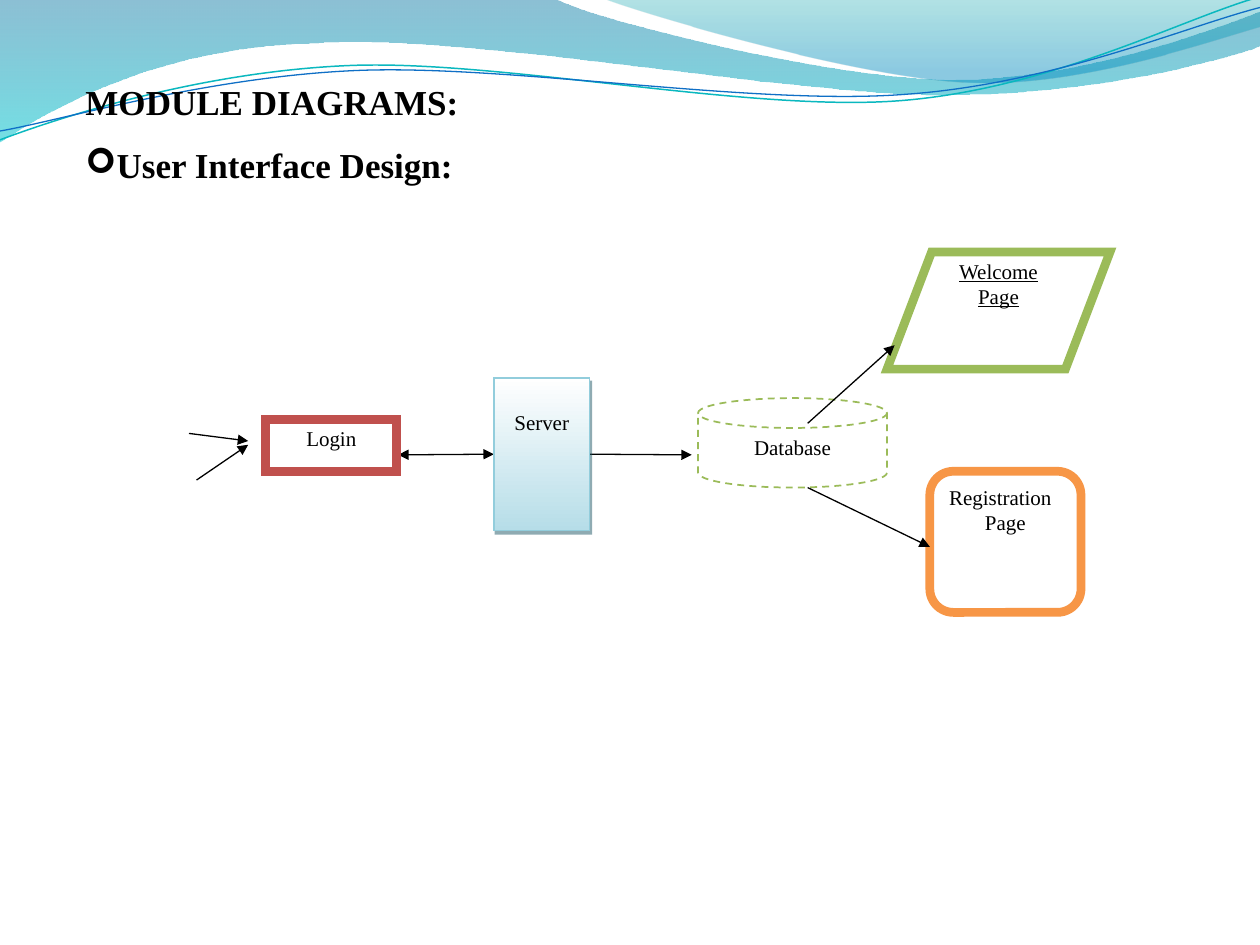
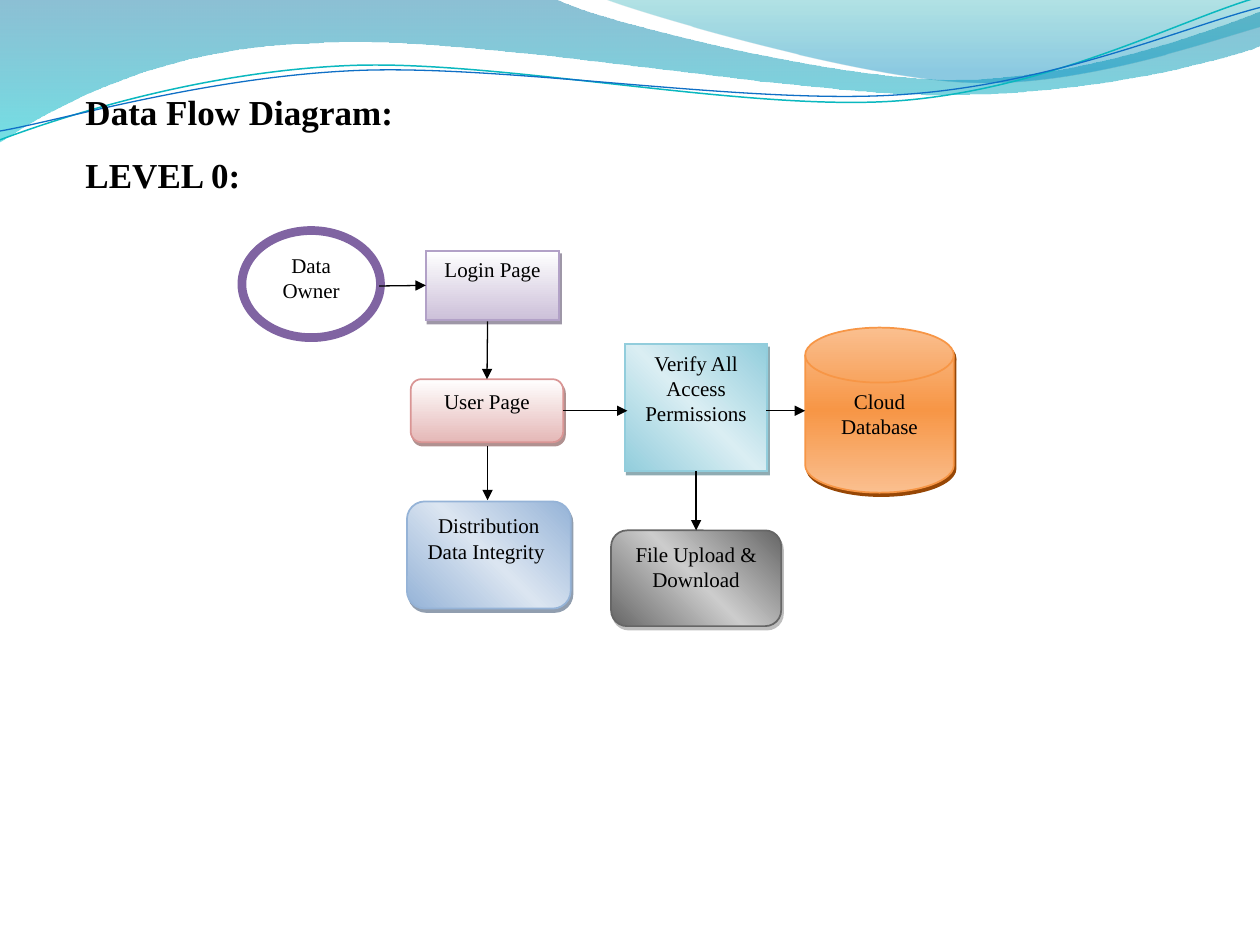
import math

import lxml.etree
import pptx
import pptx.dml.color
import pptx.enum.dml
import pptx.enum.shapes
import pptx.enum.text
import pptx.oxml.ns
import pptx.util

SHAPE = pptx.enum.shapes.MSO_SHAPE
ALIGN = pptx.enum.text.PP_ALIGN
ANCHOR = pptx.enum.text.MSO_ANCHOR
FONT = "Times New Roman"
COLUMNS, ROWS = 10, 7.5  # the grid that all places are given in
TOP, LEFT, BOTTOM, RIGHT = range(4)
WAVE_TURN = 357.3  # degrees that the wave lines are turned by

COLORS = {
    "black": "000000", "white": "FFFFFF",
    "wave blue": "0074A1", "wave cyan": "00C6CF",
    "crest teal": "00A1A9", "crest blue": "008BBF",
    "teal line": "0AB8BF", "blue line": "0F6FC6",
    "green": "9BBB59", "red": "C0504D", "purple": "8064A2",
    "orange": "F79646", "pale orange": "FABF8F", "brown": "974706",
    "aqua": "92CDDC", "soft aqua": "B6DDE8", "pale aqua": "DAEEF3", "deep aqua": "205867",
    "lilac": "B2A1C7", "pale lilac": "CCC0D9", "deep purple": "3F3151",
    "rose": "D99594", "pale rose": "E5B8B7", "deep red": "622423",
    "blue": "95B3D7", "pale blue": "DBE5F1", "deep blue": "243F60",
    "gray": "666666", "pale gray": "CCCCCC", "mid gray": "7F7F7F",
}

# Waves: start point, then line ends (x, y) and curves (x1, y1, x2, y2, x, y)
WAVES = [
    {"start": (0, 0),
     "steps": [(4.4, -0.01), (4.76, 0.17, 6.64, 0.63, 7.58, 0.63),
               (8.53, 0.63, 9.58, 0.26, 10, 0.09), (10.01, 0.36),
               (9.83, 0.44, 8.7, 0.76, 7.46, 0.75), (6.22, 0.75, 3.82, 0.28, 2.57, 0.34),
               (1.29, 0.36, 0.46, 0.83, -0.01, 1.13), (0, 0)],
     "fill": [(0, "wave blue", 45), (100, "wave cyan", 55)]},
    {"start": (4.79, -0.01),
     "steps": [(5.09, 0.11, 6.82, 0.62, 7.69, 0.65), (8.56, 0.69, 9.61, 0.32, 10, 0.21),
               (10, 0), (4.79, -0.01)],
     "fill": [(0, "crest teal", 30), (80, "crest blue", 45)]},
    {"start": (0, 1.11), "center": (4.99, 0.58),
     "steps": [(0.48, 0.93, 1.58, 0.57, 2.77, 0.52), (3.95, 0.47, 5.93, 0.89, 7.13, 0.8),
               (8.33, 0.71, 9.38, 0.15, 9.98, -0.02)],
     "line": ("teal line", 0.85)},
    {"start": (0, 1.04), "center": (5, 0.59),
     "steps": [(0.47, 0.96, 1.64, 0.61, 2.83, 0.56), (4.03, 0.51, 5.97, 0.84, 7.17, 0.75),
               (8.36, 0.67, 9.41, 0.21, 10, 0.06)],
     "line": ("blue line", 0.75)},
]


def outlined(color):
    return {"line": (color, 5)}


def shaded(line, stops, shadow, angle=90, opacity=50):
    """Style with evenly spaced gradient stops, a thin line and a hard shadow."""
    last = len(stops) - 1
    fill = [(100 * i // last, color, 100) for i, color in enumerate(stops)]
    return {"line": (line, 1), "fill": fill, "angle": angle, "shadow": (shadow, opacity)}


def glossy(edge, middle, shadow):
    return shaded(edge, [edge, middle, edge], shadow, angle=315)


# Nodes: name, preset, (left, top, width, height), style, paragraphs
# Links: start, end, arrow at both ends; an end is a point or (node, side)
# Front: nodes that lie above the links
SLIDES = [
    {"title": ["MODULE DIAGRAMS:", "User Interface Design:"],
     "title_box": (0.58, 0.42, 8.17, 1.11), "bullets": {1: "➢"},
     "nodes": [
         ("database", SHAPE.FLOWCHART_MAGNETIC_DISK, (5.54, 3.16, 1.5, 0.71),
          {"line": ("green", 1), "dash": True}, ["Database"]),
         ("welcome", SHAPE.FLOWCHART_DATA, (7.04, 2, 1.77, 0.93),
          {**outlined("green"), "underline": True}, ["Welcome Page"]),
         ("registration", SHAPE.FLOWCHART_ALTERNATE_PROCESS, (7.38, 3.74, 1.2, 1.12),
          {**outlined("orange"), "first_align": ALIGN.LEFT}, ["Registration", "Page"]),
         ("login", SHAPE.RECTANGLE, (2.11, 3.33, 1.04, 0.41), outlined("red"), ["Login"]),
         ("server", SHAPE.RECTANGLE, (3.92, 3, 0.76, 1.21),
          {**shaded("aqua", ["white", "soft aqua"], "deep aqua"), "inset_top": 0.25},
          ["Server"])],
     "links": [
         (("server", RIGHT), (5.49, 3.61), False),
         ((1.5, 3.44), (1.97, 3.5), False),
         ((1.56, 3.81), (1.97, 3.53), False),
         ((6.41, 3.36), (7.1, 2.74), False),
         ((6.41, 3.87), (7.38, 4.34), False),
         ((3.16, 3.61), ("server", LEFT), True)],
     "front": ["login", "server"]},
    {"title": ["Data Flow Diagram:", "LEVEL 0:"],
     "title_box": (0.58, 0.5, 8.25, 1.11), "bullets": {},
     "nodes": [
         ("owner", SHAPE.OVAL, (1.92, 1.83, 1.1, 0.85), outlined("purple"), ["Data Owner"]),
         ("login", SHAPE.RECTANGLE, (3.38, 1.99, 1.06, 0.55),
          shaded("lilac", ["white", "pale lilac"], "deep purple"), ["Login Page"]),
         ("user", SHAPE.ROUNDED_RECTANGLE, (3.26, 3.01, 1.21, 0.5),
          shaded("rose", ["white", "pale rose"], "deep red"), ["User Page"]),
         ("integrity", SHAPE.ROUNDED_RECTANGLE, (3.23, 3.98, 1.3, 0.85),
          glossy("blue", "pale blue", "deep blue"), ["Distribution Data Integrity "]),
         ("verify", SHAPE.RECTANGLE, (4.96, 2.73, 1.13, 1.01),
          glossy("aqua", "pale aqua", "deep aqua"), ["Verify All Access Permissions"]),
         ("files", SHAPE.ROUNDED_RECTANGLE, (4.85, 4.21, 1.35, 0.76),
          glossy("gray", "pale gray", "mid gray"), ["File Upload & Download"]),
         ("cloud", SHAPE.FLOWCHART_MAGNETIC_DISK, (6.39, 2.6, 1.18, 1.31),
          shaded("orange", ["pale orange", "orange", "pale orange"], "brown", opacity=100),
          ["Cloud Database"])],
     "links": [
         ((3.01, 2.27), ("login", LEFT), False),
         ((3.87, 3.54), (3.87, 3.97), False),
         ((3.87, 2.55), ("user", TOP), False),
         (("user", RIGHT), (4.98, 3.26), False),
         (("verify", BOTTOM), ("files", TOP), False),
         ((6.08, 3.26), (6.39, 3.26), False)],
     "front": []},
]

prs = pptx.Presentation()
prs.slide_width = pptx.util.Inches(10)
prs.slide_height = pptx.util.Inches(7.5)


def x_at(columns):
    return round(prs.slide_width * columns / COLUMNS)


def y_at(rows):
    return round(prs.slide_height * rows / ROWS)


def place(box):
    left, top, width, height = box
    return x_at(left), y_at(top), x_at(width), y_at(height)


def rgb(name):
    return pptx.dml.color.RGBColor.from_string(COLORS[name])


def add_xml(parent, tag, **attributes):
    child = lxml.etree.SubElement(parent, pptx.oxml.ns.qn("a:" + tag))
    for key, value in attributes.items():
        child.set(key, str(value))
    return child


def add_color(parent, name, opacity):
    color = add_xml(parent, "srgbClr", val=COLORS[name])
    if opacity < 100:
        add_xml(color, "alpha", val=opacity * 1000)


def set_gradient(sp, stops, angle):
    sp.fill.gradient()
    grad = sp._element.spPr.find(pptx.oxml.ns.qn("a:gradFill"))
    for child in list(grad):
        grad.remove(child)
    stop_list = add_xml(grad, "gsLst")
    for position, color, opacity in stops:
        add_color(add_xml(stop_list, "gs", pos=position * 1000), color, opacity)
    add_xml(grad, "lin", ang=angle * 60000, scaled=0)


def set_line(line, color, width):
    line.color.rgb = rgb(color)
    line.width = pptx.util.Pt(width)


def set_shadow(sp, color, opacity):
    effects = sp._element.spPr.find(pptx.oxml.ns.qn("a:effectLst"))
    outer = add_xml(effects, "outerShdw", blurRad=0, dist=pptx.util.Pt(2.2),
                    dir=63 * 60000, algn="ctr", rotWithShape=0)
    add_color(outer, color, opacity)


def add_run(p, text, size, bold=False, underline=False):
    r = p.add_run()
    r.text = text
    r.font.name, r.font.size = FONT, pptx.util.Pt(size)
    r.font.bold, r.font.underline = bold, underline
    r.font.color.rgb = rgb("black")


def paragraphs(tf, texts):
    """Yield a paragraph of the frame for each text."""
    for i, text in enumerate(texts):
        yield i, tf.add_paragraph() if i else tf.paragraphs[0], text


def turn_back(point, center):
    """Undo the turn of the wave lines for one point."""
    angle = math.radians(360 - WAVE_TURN)
    dx, dy = point[0] - center[0], point[1] - center[1]
    return (center[0] + dx * math.cos(angle) - dy * math.sin(angle),
            center[1] + dx * math.sin(angle) + dy * math.cos(angle))


def bend(sp, steps):
    """Join the three segments that stand for each curve into one Bezier curve."""
    segments = iter(list(sp._element.iter(pptx.oxml.ns.qn("a:lnTo"))))
    for step in steps:
        parts = [next(segments) for _ in step[::2]]
        if len(parts) == 3:
            curve = lxml.etree.Element(pptx.oxml.ns.qn("a:cubicBezTo"))
            parts[0].addprevious(curve)
            for part in parts:
                curve.append(part[0])
                part.getparent().remove(part)


def add_wave(slide, wave):
    points = [wave["start"]]
    for step in wave["steps"]:
        points += zip(step[::2], step[1::2])
    if "center" in wave:
        points = [turn_back(point, wave["center"]) for point in points]
    points = [(x_at(x), y_at(y)) for x, y in points]
    builder = slide.shapes.build_freeform(*points[0], scale=1.0)
    builder.add_line_segments(points[1:], close="fill" in wave)
    sp = builder.convert_to_shape()
    bend(sp, wave["steps"])
    sp.shadow.inherit = False
    if "fill" in wave:
        set_gradient(sp, wave["fill"], 90)
        sp.line.fill.background()
    else:
        sp.rotation = WAVE_TURN
        sp.fill.background()
        set_line(sp.line, *wave["line"])


def add_title(slide, texts, box, bullets):
    tf = slide.shapes.add_textbox(*place(box)).text_frame
    tf.word_wrap = True
    tf.vertical_anchor = ANCHOR.MIDDLE
    for i, p, text in paragraphs(tf, texts):
        p.alignment, p.line_spacing = ALIGN.JUSTIFY, 1.5
        if i in bullets:
            pPr = p._p.get_or_add_pPr()
            add_xml(pPr, "buFont", typeface="Wingdings")
            add_xml(pPr, "buChar", char=bullets[i])
        add_run(p, text, 20, bold=True)


def add_node(slide, preset, box, style, texts):
    sp = slide.shapes.add_shape(preset, *place(box))
    sp.shadow.inherit = False
    if "fill" in style:
        set_gradient(sp, style["fill"], style["angle"])
        set_shadow(sp, *style["shadow"])
    else:
        sp.fill.solid()
        sp.fill.fore_color.rgb = rgb("white")
    set_line(sp.line, *style["line"])
    if "dash" in style:
        sp.line.dash_style = pptx.enum.dml.MSO_LINE.DASH
    if preset != SHAPE.FLOWCHART_MAGNETIC_DISK:
        add_xml(sp.line._get_or_add_ln(), "miter", lim=800000)
    tf = sp.text_frame
    tf.word_wrap = True
    tf.vertical_anchor = ANCHOR.TOP
    tf.margin_top = y_at(style.get("inset_top", 0.05))
    for i, p, text in paragraphs(tf, texts):
        p.alignment = ALIGN.CENTER if i else style.get("first_align", ALIGN.CENTER)
        add_run(p, text, 12, underline="underline" in style)
    return sp


def add_link(slide, nodes, start, end, both_ways):
    ends = [(0, 0) if point[0] in nodes else (x_at(point[0]), y_at(point[1]))
            for point in (start, end)]
    link = slide.shapes.add_connector(pptx.enum.shapes.MSO_CONNECTOR.STRAIGHT,
                                      *ends[0], *ends[1])
    for point, connect in ((start, link.begin_connect), (end, link.end_connect)):
        if point[0] in nodes:
            connect(nodes[point[0]], point[1])
    set_line(link.line, "black", 0.75)
    ln = link.line._get_or_add_ln()
    if both_ways:
        add_xml(ln, "headEnd", type="triangle")
    add_xml(ln, "tailEnd", type="triangle")
    add_xml(link._element.spPr, "effectLst")


def main():
    for content in SLIDES:
        slide = prs.slides.add_slide(prs.slide_layouts[6])
        for wave in WAVES:
            add_wave(slide, wave)
        add_title(slide, content["title"], content["title_box"], content["bullets"])
        nodes = {name: add_node(slide, *node) for name, *node in content["nodes"]}
        for link in content["links"]:
            add_link(slide, nodes, *link)
        for name in content["front"]:
            slide.shapes._spTree.append(nodes[name]._element)
    prs.save("out.pptx")


if __name__ == "__main__":
    main()
